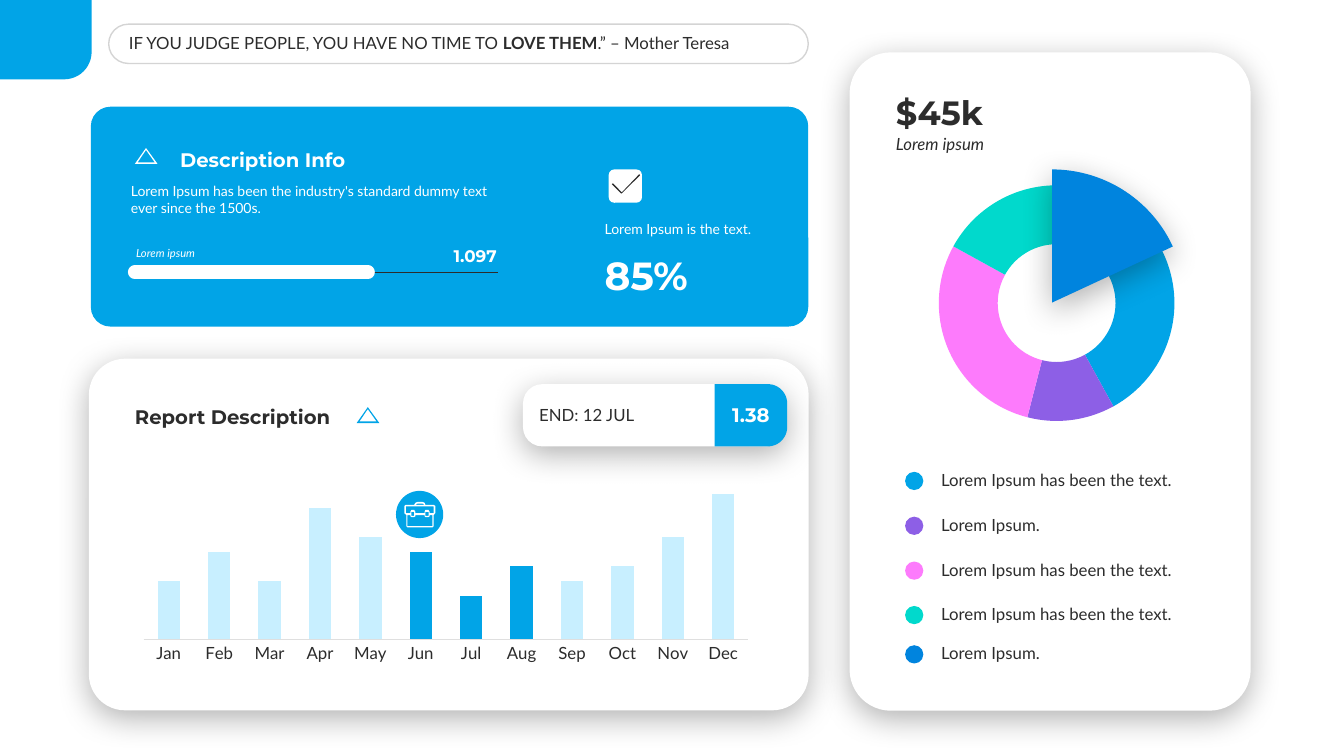
import math

from lxml import etree
from pptx import Presentation
from pptx import util as u
from pptx.chart.data import CategoryChartData
from pptx.dml.color import RGBColor
from pptx.enum import chart as ch, shapes, text
from pptx.oxml import parse_xml
from pptx.oxml.ns import nsdecls, qn

SKY = RGBColor(0x01, 0xA4, 0xE7)
PALE_SKY = RGBColor(0xC8, 0xEF, 0xFF)
DEEP_BLUE = RGBColor(0x00, 0x84, 0xDE)
PURPLE = RGBColor(0x8D, 0x5F, 0xE6)
PINK = RGBColor(0xFD, 0x7B, 0xFC)
TEAL = RGBColor(0x01, 0xD9, 0xCC)
INK = RGBColor(0x2C, 0x2C, 0x2C)
RULE = RGBColor(0xDF, 0xDF, 0xDF)
WHITE = RGBColor(0xFF, 0xFF, 0xFF)
BODY, HEAD = "Lato", "Montserrat"
SHAPE, ANCHOR, ALIGN = shapes.MSO_SHAPE, text.MSO_ANCHOR, text.PP_ALIGN

# Contours in cm; inner contours cut holes
TRIANGLE = [[(0.28, 0), (0.57, 0.4), (0, 0.4)], [(0.28, 0.05), (0.5, 0.36), (0.07, 0.36)]]
CHECK = [[(0.69, 0), (0.25, 0.46), (0.03, 0.23), (0, 0.25), (0.24, 0.49), (0.71, 0.03)]]
BRIEFCASE = [
    [(0, 0.1), (0.03, 0.07), (0.25, 0.07), (0.28, 0.02), (0.33, 0), (0.46, 0), (0.51, 0.02),
     (0.53, 0.07), (0.74, 0.07), (0.78, 0.1), (0.78, 0.28), (0.74, 0.33), (0.74, 0.61),
     (0.71, 0.64), (0.08, 0.64), (0.05, 0.61), (0.05, 0.33), (0, 0.28)],
    [(0.28, 0.07), (0.33, 0.04), (0.46, 0.04), (0.51, 0.07)],
    [(0.08, 0.33), (0.15, 0.33), (0.15, 0.36), (0.18, 0.38), (0.25, 0.38), (0.28, 0.36),
     (0.28, 0.33), (0.51, 0.33), (0.51, 0.36), (0.53, 0.38), (0.61, 0.38), (0.64, 0.36),
     (0.64, 0.33), (0.71, 0.33), (0.71, 0.61), (0.08, 0.61)],
    [(0.18, 0.25), (0.25, 0.25), (0.25, 0.35), (0.18, 0.35)],
    [(0.53, 0.25), (0.61, 0.25), (0.61, 0.35), (0.53, 0.35)],
    [(0.74, 0.28), (0.64, 0.28), (0.64, 0.25), (0.61, 0.2), (0.53, 0.2), (0.51, 0.25),
     (0.51, 0.28), (0.28, 0.28), (0.28, 0.25), (0.25, 0.2), (0.18, 0.2), (0.15, 0.25),
     (0.15, 0.28), (0.04, 0.28), (0.04, 0.11), (0.74, 0.11)],
]


def place(box, x, y, *size):
    """Lengths for a part set at x, y from the corner of its region."""
    return [u.Cm(v) for v in (box[0] + x, box[1] + y, *size)]


def paint(shape, color):
    shape.shadow.inherit = False
    shape.line.fill.background()
    shape.fill.solid()
    shape.fill.fore_color.rgb = color
    return shape


def block(slide, kind, where, color, adjust=(), raised=False):
    shape = paint(slide.shapes.add_shape(kind, *where), color)
    for i, value in enumerate(adjust):
        shape.adjustments[i] = value
    if raised:
        effects = shape.element.spPr.find(qn("a:effectLst"))
        effects.append(parse_xml(
            f'<a:outerShdw {nsdecls("a")} blurRad="{u.Pt(23)}" dist="{u.Pt(6)}" dir="5400000" '
            'algn="t" rotWithShape="0"><a:srgbClr val="000000"><a:alpha val="30000"/>'
            '</a:srgbClr></a:outerShdw>'))
    return shape


def outline(slide, box, x, y, contours, color):
    points = [[tuple(place(box, x + px, y + py)) for px, py in c] for c in contours]
    builder = slide.shapes.build_freeform(*points[0][0], scale=1.0)
    for i, contour in enumerate(points):
        if i:
            builder.move_to(*contour[0])
        builder.add_line_segments(contour[1:], close=True)
    return paint(builder.convert_to_shape(), color)


def corner(cx, cy, radius, start):
    """Points of a quarter circle, clockwise from start degrees."""
    angles = [math.radians(start + 7.5 * i) for i in range(13)]
    return [(cx + radius * math.cos(a), cy + radius * math.sin(a)) for a in angles]


def write(frame, runs, size, font, color, anchor, align, insets):
    frame.word_wrap = True
    frame.auto_size = text.MSO_AUTO_SIZE.NONE
    frame.vertical_anchor = anchor
    frame.margin_left, frame.margin_right = (u.Cm(v) for v in insets)
    frame.margin_top = frame.margin_bottom = u.Cm(0.13)
    paragraph = frame.paragraphs[0]
    paragraph.alignment = align
    for words, style in runs:
        run = paragraph.add_run()
        run.text = words
        run.font.name, run.font.size, run.font.color.rgb = font, u.Pt(size), color
        run.font.bold, run.font.italic = style == "b", style == "i"


def label(slide, where, words, size, color=INK, font=BODY, style="",
          anchor=ANCHOR.MIDDLE, align=ALIGN.LEFT, insets=(0.25, 0.25)):
    frame = slide.shapes.add_textbox(*where).text_frame
    write(frame, [(words, style)], size, font, color, anchor, align, insets)


def rule(slide, box, x1, x2, y, color, width, rounded=False):
    line = slide.shapes.add_connector(
        shapes.MSO_CONNECTOR.STRAIGHT, *place(box, x1, y), *place(box, x2, y))
    line.line.color.rgb, line.line.width = color, u.Pt(width)
    if rounded:
        line.element.spPr.find(qn("a:ln")).set("cap", "rnd")
    etree.SubElement(line.element.spPr, qn("a:effectLst"))


def graph(slide, where, kind, cats, values, colors, size, area):
    data = CategoryChartData()
    data.categories = cats
    data.add_series("Series 1", values)
    chart = slide.shapes.add_chart(kind, *where, data).chart
    chart.has_title = chart.has_legend = False
    chart.font.name, chart.font.size, chart.font.color.rgb = BODY, u.Pt(size), INK
    plot = chart.plots[0]
    plot.vary_by_categories = False
    for i, color in enumerate(colors):
        fill = plot.series[0].points[i].format.fill
        fill.solid()
        fill.fore_color.rgb = color
    # Fixed plot area, as shares of the chart's box
    plot_area = chart.element.find(".//" + qn("c:plotArea"))
    for old in plot_area.findall(qn("c:layout")):
        plot_area.remove(old)
    shares = "".join(f'<c:{k} val="{v}"/>' for k, v in zip("xywh", area))
    plot_area.insert(0, parse_xml(
        f'<c:layout {nsdecls("c")}><c:manualLayout><c:layoutTarget val="inner"/>'
        f'<c:xMode val="edge"/><c:yMode val="edge"/>{shares}</c:manualLayout></c:layout>'))
    return chart


def quote_header(slide, box):
    width, height = box[2:]
    pill = block(slide, SHAPE.ROUNDED_RECTANGLE, place(box, 0, 0, width, height), WHITE, [0.5])
    pill.fill.background()
    pill.line.color.rgb, pill.line.width = INK, u.Pt(1)
    tint = pill.element.spPr.find(".//" + qn("a:ln")).find(".//" + qn("a:srgbClr"))
    etree.SubElement(tint, qn("a:alpha")).set("val", "20000")
    title = slide.shapes.title
    title.left, title.top, title.width, title.height = place(box, 0.41, 0.1, 16.64, 0.76)
    runs = [("IF YOU JUDGE PEOPLE, YOU HAVE NO TIME TO ", ""), ("LOVE THEM", "b"),
            (".” – Mother Teresa", "")]
    write(title.text_frame, runs, 12, BODY, INK, ANCHOR.MIDDLE, ALIGN.LEFT, (0.1, 0.1))


def corner_tab(slide, box):
    width, height = box[2:]
    edge = [(0, 0), (width, 0), *corner(width - 0.69, height - 0.69, 0.69, 0), (0, height)]
    outline(slide, box, 0, 0, [edge], SKY)


def description_card(slide, box):
    block(slide, SHAPE.ROUNDED_RECTANGLE, place(box, 0, 0, *box[2:]), SKY, [0.089])
    # Heading and text
    outline(slide, box, 1.11, 1.04, TRIANGLE, WHITE)
    label(slide, place(box, 2, 0.89, 8.86, 0.86), "Description Info", 14, WHITE, HEAD, "b",
          ANCHOR.BOTTOM)
    label(slide, place(box, 0.76, 1.78, 10.11, 1.12),
          "Lorem Ipsum has been the industry's standard dummy text ever since the 1500s.",
          10, WHITE, anchor=ANCHOR.TOP)
    # Progress bar
    rule(slide, box, 1.11, 10.26, 4.17, INK, 0.5)
    rule(slide, box, 1.11, 6.98, 4.17, WHITE, 10, rounded=True)
    label(slide, place(box, 0.94, 3.38, 4.88, 0.61), "Lorem ipsum", 8, WHITE, style="i",
          anchor=ANCHOR.BOTTOM, insets=(0.2, 0.25))
    label(slide, place(box, 8.68, 3.38, 1.65, 0.76), "1.097", 12, WHITE, HEAD, "b",
          ANCHOR.BOTTOM, ALIGN.RIGHT, (0.25, 0.1))
    # Checked share
    block(slide, SHAPE.ROUNDED_RECTANGLE, place(box, 13.05, 1.58, 0.84, 0.84), WHITE)
    outline(slide, box, 13.13, 1.7, CHECK, INK)
    label(slide, place(box, 12.7, 2.72, 4.78, 0.69), "Lorem Ipsum is the text.", 10, WHITE,
          anchor=ANCHOR.BOTTOM)
    label(slide, place(box, 12.7, 3.51, 4.78, 1.45), "85%", 28, WHITE, HEAD, "b", ANCHOR.TOP)


def report_card(slide, box):
    block(slide, SHAPE.ROUNDED_RECTANGLE, place(box, 0, 0, *box[2:]), WHITE, [0.103], True)
    label(slide, place(box, 0.91, 1.02, 8.94, 0.86), "Report Description", 14, INK, HEAD, "b")
    outline(slide, box, 6.75, 1.22, TRIANGLE, SKY)
    # End date with its value
    block(slide, SHAPE.ROUNDED_RECTANGLE, place(box, 10.94, 0.64, 6.63, 1.57), WHITE, [0.311], True)
    label(slide, place(box, 11.1, 1.04, 4.83, 0.76), "END: 12 JUL", 12)
    edge = [(0, 0), *corner(1.34, 0.49, 0.49, -90), *corner(1.34, 1.08, 0.49, 0), (0, 1.57)]
    outline(slide, box, 15.77, 0.64, [edge], SKY)
    label(slide, place(box, 15.77, 0.99, 1.83, 0.86), "1.38", 14, WHITE, HEAD, "b",
          align=ALIGN.CENTER, insets=(0.1, 0.1))
    # Monthly columns, summer highlighted
    months = "Jan Feb Mar Apr May Jun Jul Aug Sep Oct Nov Dec".split()
    colors = [SKY if m in ("Jun", "Jul", "Aug") else PALE_SKY for m in months]
    chart = graph(slide, place(box, 1.06, 2.57, 15.88, 5.23), ch.XL_CHART_TYPE.COLUMN_CLUSTERED,
                  months, [40, 60, 40, 90, 70, 60, 30, 50, 40, 50, 70, 100], colors, 12,
                  (0.02, 0.02, 0.96, 0.84))
    chart.plots[0].gap_width, chart.plots[0].overlap = 125, -27
    scale, axis = chart.value_axis, chart.category_axis
    scale.visible = scale.has_major_gridlines = False
    scale.minimum_scale, scale.maximum_scale = 0, 120
    axis.major_tick_mark = ch.XL_TICK_MARK.NONE
    axis.format.line.color.rgb, axis.format.line.width = RULE, u.Pt(0.75)
    # Briefcase marker
    block(slide, SHAPE.OVAL, place(box, 7.74, 3.33, 1.19, 1.19), SKY)
    outline(slide, box, 7.95, 3.61, BRIEFCASE, WHITE)


def share_panel(slide, box):
    block(slide, SHAPE.ROUNDED_RECTANGLE, place(box, 0, 0, *box[2:]), WHITE, [0.103], True)
    label(slide, place(box, 0.92, 1.93, 8.43, 0.76), "Lorem ipsum", 12, style="i",
          anchor=ANCHOR.TOP, insets=(0.25, 0.2))
    label(slide, place(box, 0.92, 0.86, 8.43, 1.27), "$45k", 24, INK, HEAD, "b",
          ANCHOR.BOTTOM, insets=(0.25, 0.2))
    # Ring with a raised sector
    graph(slide, place(box, 1.09, 3.02, 8.26, 6.6), ch.XL_CHART_TYPE.DOUGHNUT, list("1234"),
          [42, 12, 29, 17], [SKY, PURPLE, PINK, TEAL], 10, (0.14, 0.05, 0.72, 0.9))
    block(slide, SHAPE.ARC, place(box, 1.75, 2.95, 6.71, 6.71), DEEP_BLUE, [162, 201.05], True)
    # Legend
    long, short = "Lorem Ipsum has been the text.", "Lorem Ipsum."
    for y, color, words in [(10.57, SKY, long), (11.7, PURPLE, short), (12.83, PINK, long),
                            (13.95, TEAL, long), (14.94, DEEP_BLUE, short)]:
        block(slide, SHAPE.OVAL, place(box, 1.4, y, 0.46, 0.46), color)
        label(slide, place(box, 2.06, y - 0.18, 6.93, 0.76), words, 12)


def main():
    deck = Presentation()
    deck.slide_width, deck.slide_height = u.Cm(33.87), u.Cm(19.05)
    slide = deck.slides.add_slide(deck.slide_layouts[5])
    quote_header(slide, (2.74, 0.61, 17.63, 0.99))
    corner_tab(slide, (0, 0, 2.31, 2))
    description_card(slide, (2.29, 2.69, 18.08, 5.54))
    report_card(slide, (2.24, 9.04, 18.14, 8.86))
    share_panel(slide, (21.41, 1.32, 10.11, 16.59))
    deck.save("out.pptx")


if __name__ == "__main__":
    main()
